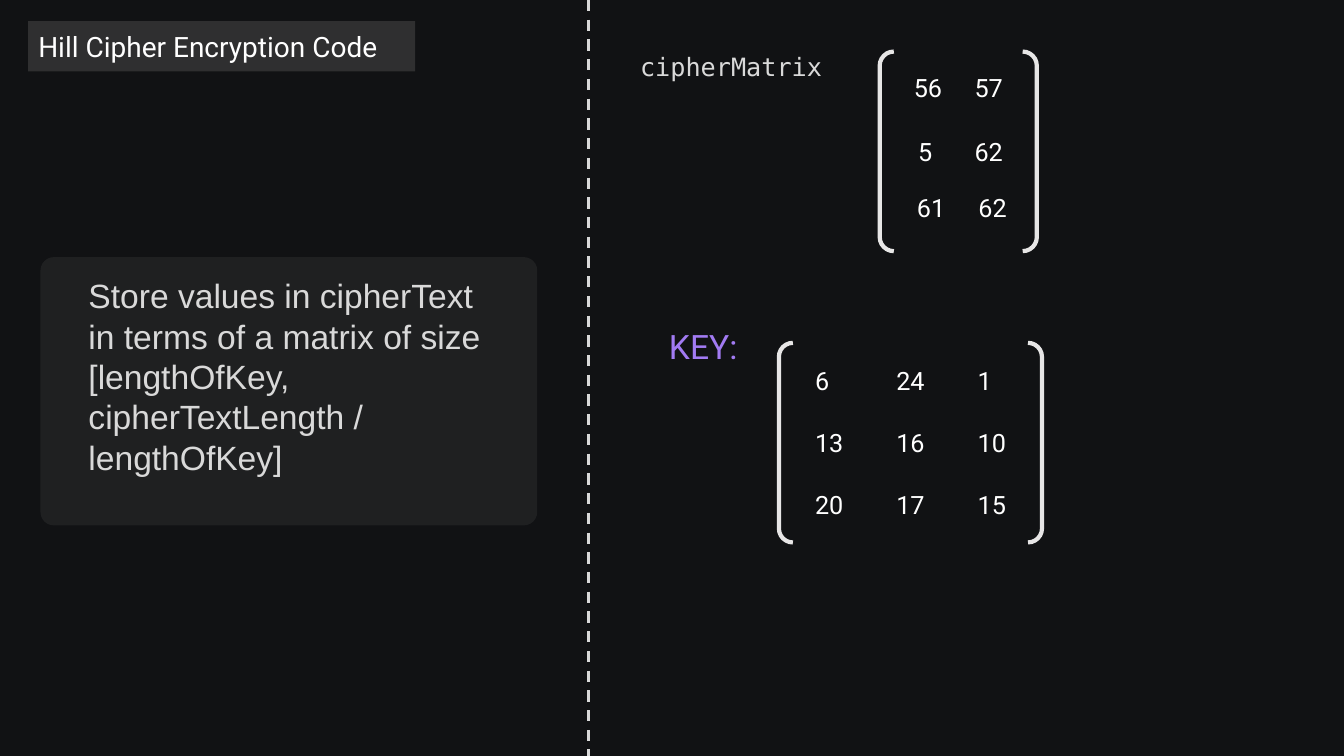
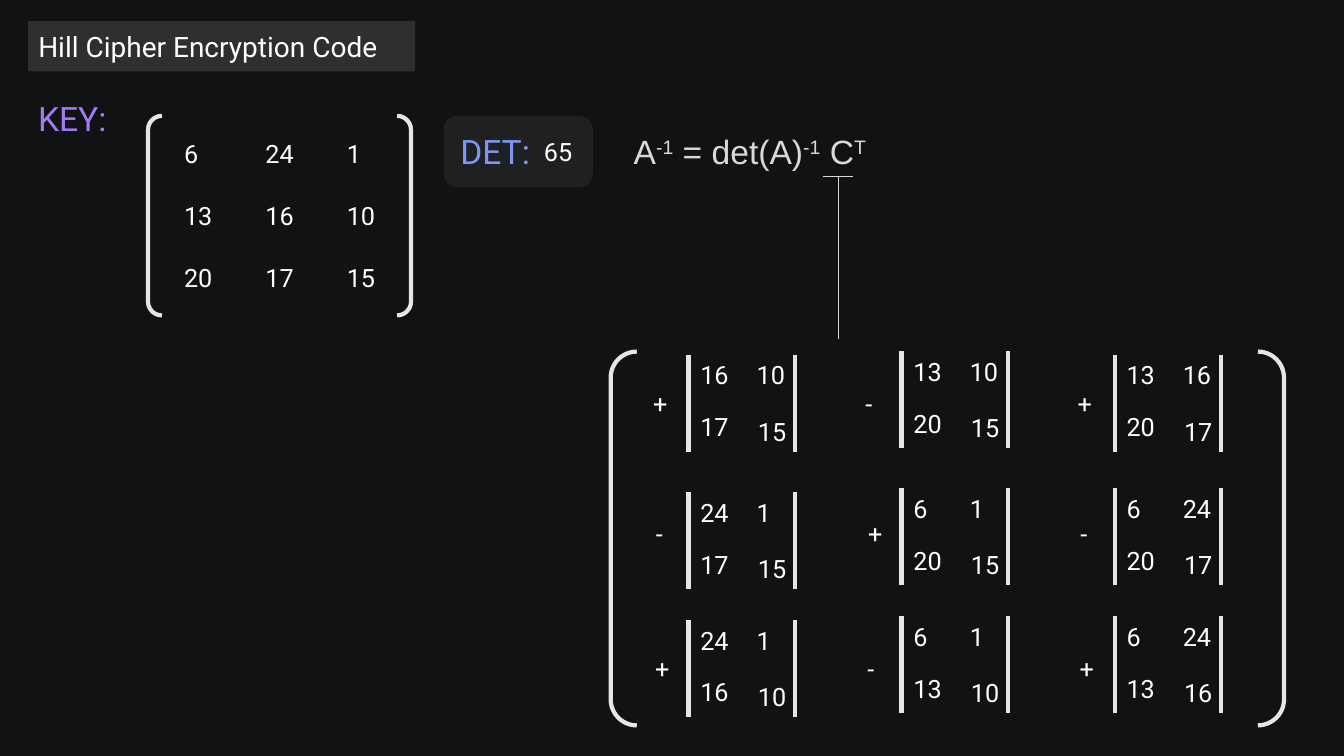
from lxml import etree
from pptx import Presentation
from pptx.dml.color import RGBColor
from pptx.enum.dml import MSO_LINE
from pptx.enum.shapes import MSO_CONNECTOR, MSO_SHAPE
from pptx.enum.text import MSO_ANCHOR, PP_ALIGN
from pptx.oxml.ns import qn
from pptx.util import Cm, Pt

BACKGROUND = RGBColor(0x11, 0x12, 0x14)
PANEL = RGBColor(0x59, 0x59, 0x59)
WHITE = RGBColor(0xFF, 0xFF, 0xFF)
GREY = RGBColor(0xD9, 0xD9, 0xD9)
BRACKET = RGBColor(0xE7, 0xE6, 0xE6)
PURPLE = RGBColor(0xA2, 0x7B, 0xF3)
BLUE = RGBColor(0x80, 0x96, 0xF6)

TITLE = "Hill Cipher Encryption Code"
STEP = ("Store values in cipherText in terms of a matrix of size "
        "[lengthOfKey, cipherTextLength / lengthOfKey]")
KEY = [[6, 24, 1], [13, 16, 10], [20, 17, 15]]
CIPHER_ROWS = [
    (1.71, [(22.78, 56), (24.31, 57)]),
    (3.3, [(22.89, 5), (24.31, 62)]),
    (4.72, [(22.86, 61), (24.41, 62)]),
]
FORMULA = [("A", False), ("-1", True), (" = det(A)", False),
           ("-1", True), (" C", False), ("T", True)]

MINOR_LEFT, MINOR_STEP = 17.35, 5.37
MINOR_TOPS = [8.94, 12.4, 15.62]
MINOR_CELLS = [[(0.05, 0), (1.47, 0)], [(0.05, 1.31), (1.5, 1.42)]]
RAISED, RAISE = {(0, 1), (1, 1), (2, 1), (1, 2), (2, 2)}, 0.09
SIGN_STARTS = [(16.21, 9.65), (16.28, 12.93), (16.26, 16.33)]
SIGN_STEP = 5.35


def set_translucent(sp, percent):
    sp.fill.solid()
    sp.fill.fore_color.rgb = PANEL
    clr = sp.fill._xPr.find(".//" + qn("a:srgbClr"))
    etree.SubElement(clr, qn("a:alpha")).set("val", str(percent * 1000))
    sp.line.fill.background()


def add_label(shapes, x, y, text, w=1.4, h=1.02, size=18, font="Roboto", color=WHITE):
    tf = shapes.add_textbox(Cm(x), Cm(y), Cm(w), Cm(h)).text_frame
    tf.word_wrap = True
    p = tf.paragraphs[0]
    p.text = str(text)
    p.font.size, p.font.name, p.font.color.rgb = Pt(size), font, color
    return p


def add_preset(shapes, preset, x, y, w, h, adj):
    sp = shapes.add_shape(preset, Cm(x), Cm(y), Cm(w), Cm(h))
    sp.shadow.inherit = False
    sp.adjustments[0] = adj
    return sp


def add_panel(shapes, x, y, w, h, adj):
    set_translucent(add_preset(shapes, MSO_SHAPE.ROUNDED_RECTANGLE, x, y, w, h, adj), 20)


def add_brackets(shapes, x, y, w, h, adj=0):
    sp = add_preset(shapes, MSO_SHAPE.DOUBLE_BRACKET, x, y, w, h, adj)
    sp.fill.background()
    sp.line.color.rgb, sp.line.width = BRACKET, Pt(3)


def add_line(shapes, x1, y1, x2, y2, width, dash=None):
    line = shapes.add_connector(MSO_CONNECTOR.STRAIGHT, Cm(x1), Cm(y1), Cm(x2), Cm(y2))
    line.line.color.rgb, line.line.width = GREY, Pt(width)
    if dash:
        line.line.dash_style = dash
    etree.SubElement(line._element.spPr, qn("a:effectLst"))


def add_key_matrix(shapes, x, y):
    group = shapes.add_group_shape().shapes
    for i, row in enumerate(KEY):
        for j, value in enumerate(row):
            add_label(group, x + 0.66 + j * 2.05, y + 0.45 + i * 1.56, value)
    add_brackets(group, x, y, 6.63, 5.03, 0.07)


def add_key_label(shapes, x, y):
    add_label(shapes, x, y, "KEY:", 2.6, 1.27, 24, color=PURPLE)


def minor_of(matrix, i, j):
    return [[v for c, v in enumerate(row) if c != j]
            for r, row in enumerate(matrix) if r != i]


def add_cofactor(shapes, i, j):
    x = MINOR_LEFT + j * MINOR_STEP
    y = MINOR_TOPS[i] - (RAISE if (i, j) in RAISED else 0)
    add_brackets(shapes, x, y, 2.69, 2.44)
    for values, offsets in zip(minor_of(KEY, i, j), MINOR_CELLS):
        for value, (dx, dy) in zip(values, offsets):
            add_label(shapes, x + dx, y + dy, value)
    sign_x, sign_y = SIGN_STARTS[i]
    add_label(shapes, sign_x + j * SIGN_STEP, sign_y, "-" if (i + j) % 2 else "+")


def add_titled_slide(prs, layout):
    s = prs.slides.add_slide(layout)
    title = s.shapes.title
    title.left, title.top, title.width, title.height = Cm(0.71), Cm(0.53), Cm(9.75), Cm(1.27)
    geom = etree.SubElement(title._element.spPr, qn("a:prstGeom"), prst="roundRect")
    etree.SubElement(geom, qn("a:avLst"))
    set_translucent(title, 42)
    tf = title.text_frame
    tf.text = TITLE
    tf.word_wrap = True
    tf.vertical_anchor = MSO_ANCHOR.MIDDLE
    p = tf.paragraphs[0]
    p.alignment = PP_ALIGN.LEFT
    p.font.size, p.font.name, p.font.color.rgb = Pt(20), "Roboto", WHITE
    return s.shapes


def build_storage_slide(prs, layout):
    shapes = add_titled_slide(prs, layout)
    add_panel(shapes, 1.02, 6.48, 12.52, 6.76, 0.05)
    add_label(shapes, 1.98, 6.81, STEP, 10.46, 5.38, 24, "Arial", GREY)
    add_line(shapes, 14.83, 0, 14.83, 19.05, 2, MSO_LINE.DASH)
    add_label(shapes, 15.88, 1.17, "cipherMatrix", 5.6, 1.02, 18, "DejaVu Sans Mono", GREY)
    add_brackets(shapes, 22.17, 1.3, 3.96, 5.03, 0.09)
    for y, cells in CIPHER_ROWS:
        for x, value in cells:
            add_label(shapes, x, y, value)
    add_key_label(shapes, 16.61, 8.08)
    add_key_matrix(shapes, 19.63, 8.64)


def build_inverse_slide(prs, layout):
    shapes = add_titled_slide(prs, layout)
    add_key_label(shapes, 0.71, 2.34)
    add_key_matrix(shapes, 3.73, 2.92)
    add_panel(shapes, 11.18, 2.92, 3.76, 1.8, 0.19)
    add_label(shapes, 11.35, 3.18, "DET:", 2.4, 1.27, 24, color=BLUE)
    add_label(shapes, 13.46, 3.3, 65)
    p = add_label(shapes, 15.72, 3.18, "", 6.63, 1.27, 24, "Arial", GREY)
    for text, raised in FORMULA:
        r = p.add_run()
        r.text = text
        if raised:
            r.font._element.set("baseline", "30000")
    add_brackets(shapes, 15.39, 8.86, 16.97, 9.42, 0.07)
    for i in range(3):
        for j in range(3):
            add_cofactor(shapes, i, j)
    add_line(shapes, 20.73, 4.45, 21.49, 4.45, 1.25)
    add_line(shapes, 21.13, 4.45, 21.13, 8.53, 1.25)


def main():
    prs = Presentation()
    prs.slide_width, prs.slide_height = Cm(33.87), Cm(19.05)
    layout = prs.slide_layouts[5]
    layout.background.fill.solid()
    layout.background.fill.fore_color.rgb = BACKGROUND
    build_storage_slide(prs, layout)
    build_inverse_slide(prs, layout)
    prs.save("out.pptx")


if __name__ == "__main__":
    main()
